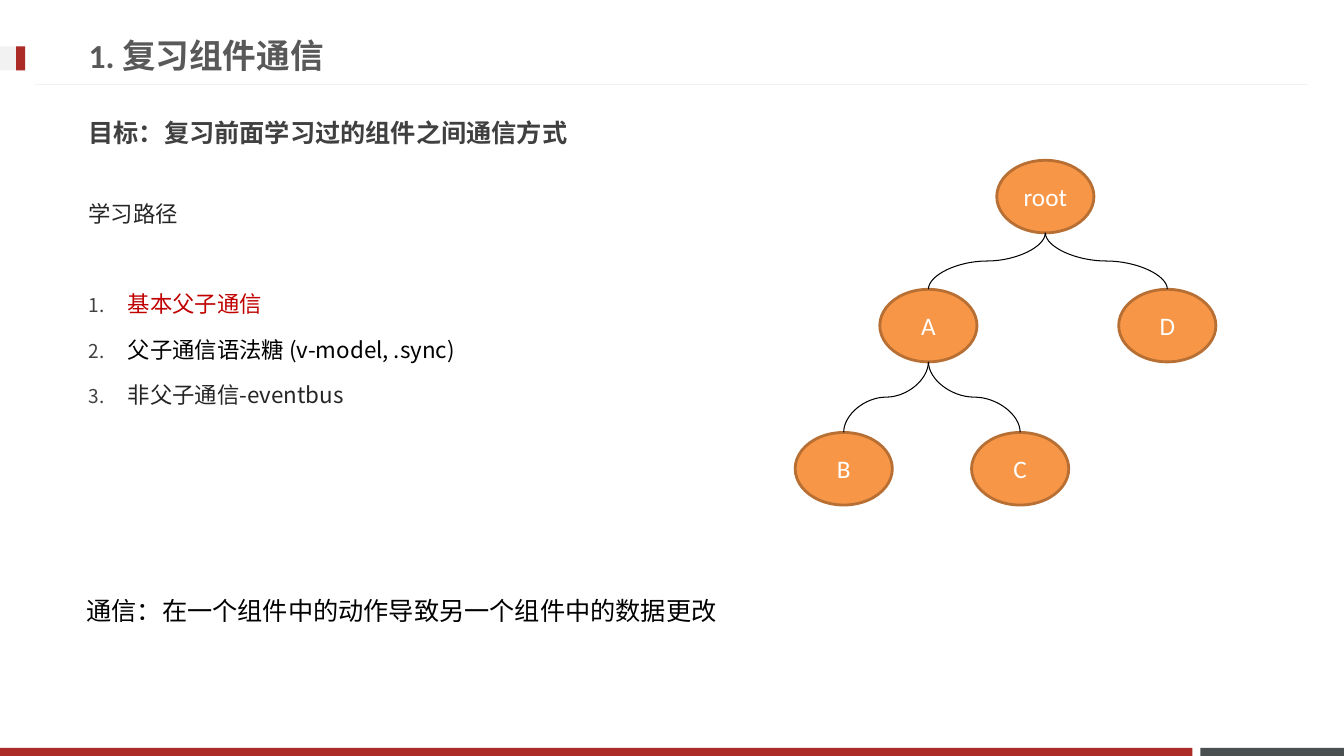
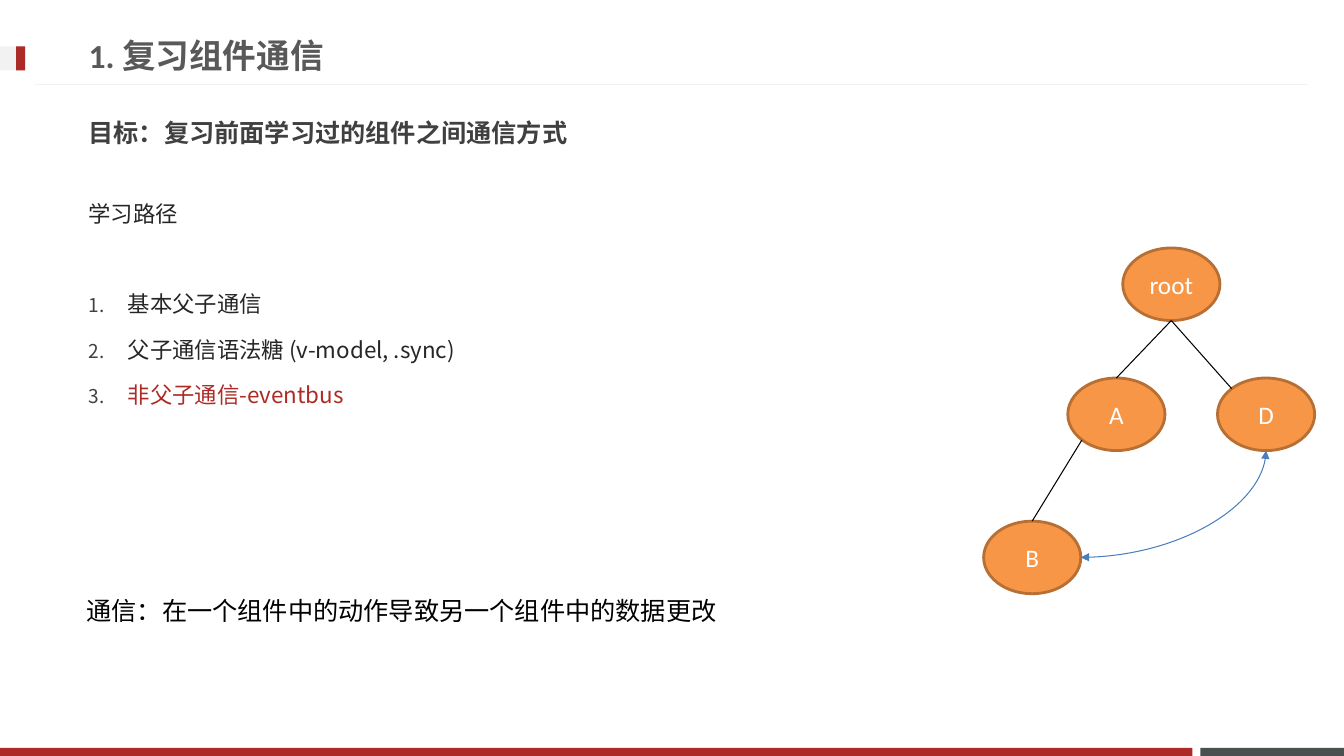
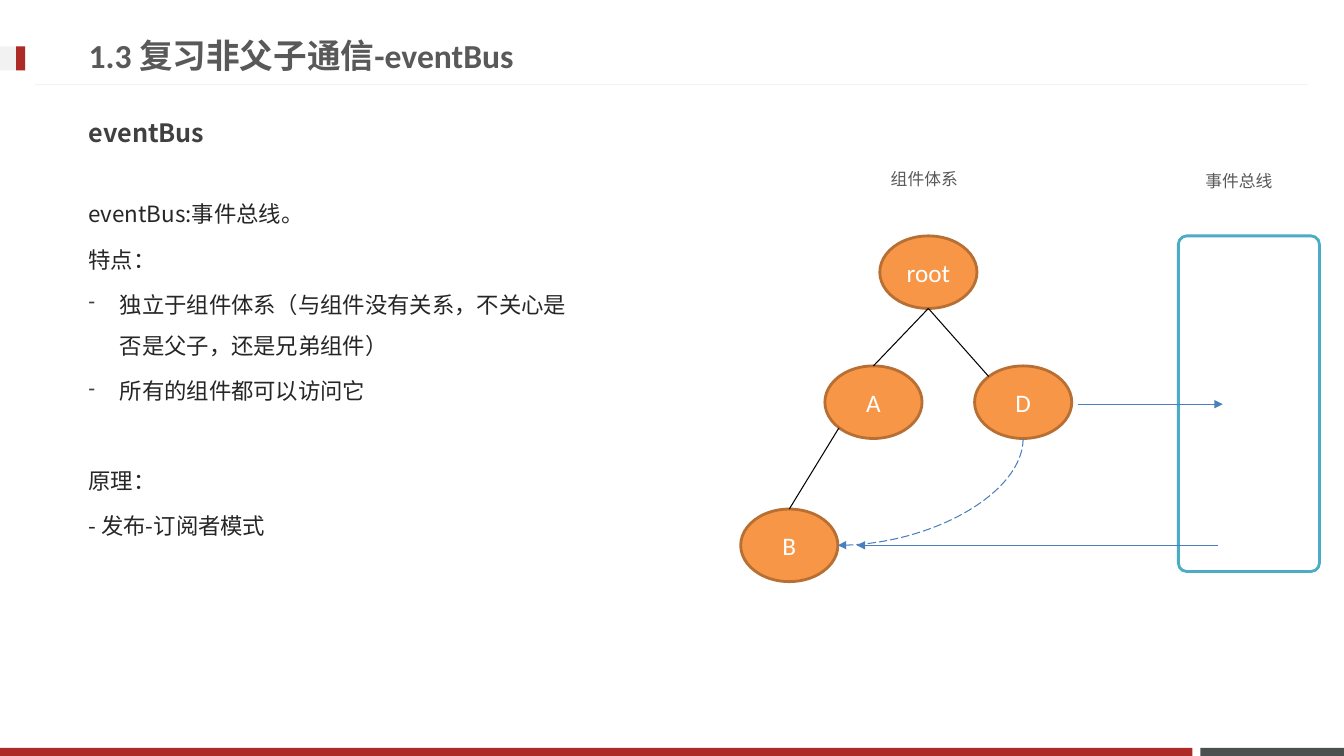
from pptx import Presentation
from pptx.dml.color import RGBColor as RGB
from pptx.enum.dml import MSO_LINE as Dash
from pptx.enum.shapes import MSO_CONNECTOR as Link, MSO_SHAPE as Form
from pptx.enum.text import MSO_ANCHOR as Anchor, PP_ALIGN as Align
from pptx.oxml.ns import qn
from pptx.util import Inches, Pt
from lxml.etree import SubElement as Sub

RED = RGB(0xAD, 0x2B, 0x26)
CRIMSON = RGB(0xC0, 0x00, 0x00)
SLATE = RGB(0x49, 0x50, 0x4F)
PALE = RGB(0xF2, 0xF2, 0xF2)
GREY = RGB(0x59, 0x59, 0x59)
DARK = RGB(0x40, 0x40, 0x40)
INK = RGB(0x26, 0x26, 0x26)
BLACK = RGB(0x00, 0x00, 0x00)
WHITE = RGB(0xFF, 0xFF, 0xFF)
ORANGE = RGB(0xF7, 0x96, 0x46)
BROWN = RGB(0xB7, 0x6F, 0x34)
BLUE = RGB(0x4B, 0x7E, 0xBC)
TEAL = RGB(0x4B, 0xAC, 0xC6)

LATIN = "Calibri"
HAN = "Noto Sans CJK JP"
COLS, ROWS = 133.33, 75
NODE_W, NODE_H = 9.64, 7.2
BOTTOM, TOP, RIGHT = (0, 1), (0, -1), (1, 0)
LOW_LEFT, TOP_LEFT = (-0.71, 0.71), (-0.71, -0.71)
MARKS = {"1.": ("a:buAutoNum", "type", "arabicPeriod", 3.9),
         "-": ("a:buChar", "char", "-", 3.1)}
FULL = {"root": (0, 0), "A": (-11.6, 12.8), "B": (-20, 27),
        "C": (-2.5, 27), "D": (12.1, 12.8)}
FORKS = [(head, BOTTOM, tail, TOP) for head, tail in
         (("root", "A"), ("root", "D"), ("A", "B"), ("A", "C"))]
SMALL = {"root": (0, 0), "A": (-5.45, 12.9), "B": (-13.8, 27.1), "D": (9.4, 12.9)}
ROUTES = [("A", LOW_LEFT, "B", TOP), ("root", BOTTOM, "A", TOP),
          ("root", BOTTOM, "D", TOP_LEFT)]


def cell(count):
    return Inches(count / 10)


class Deck:
    def __init__(self):
        self.show = Presentation()
        self.show.slide_width = cell(COLS)
        self.show.slide_height = cell(ROWS)

    def start(self, title, goal):
        self.slide = self.show.slides.add_slide(self.show.slide_layouts[6])
        self.shape(Form.RECTANGLE, (119.1, 74.2, 14.23, 0.8), SLATE)
        self.shape(Form.RECTANGLE, (0, 74.2, 118.3, 0.8), RED)
        self.line((129.8, 8.4), (3.5, 8.4), PALE)
        self.shape(Form.RECTANGLE, (0, 4.6, 2.5, 2.4), PALE)
        self.shape(Form.RECTANGLE, (1.6, 4.6, 0.9, 2.4), RED)
        self.text((7.8, 2.6, 95.9, 5.7), title, 24, GREY, bold=True, mid=True)
        self.text((7.8, 10.3, 117.2, 5.7), goal, 18, DARK, HAN, True, True)

    def shape(self, form, area, fill, edge=None):
        item = self.slide.shapes.add_shape(form, *map(cell, area))
        item.shadow.inherit = False
        item.fill.solid()
        item.fill.fore_color.rgb = fill
        if edge is None:
            item.line.fill.background()
        else:
            item.line.color.rgb = edge
            item.line.width = Pt(2)
        return item

    def style(self, para, size, color, font=LATIN, bold=False):
        for run in para.runs:
            run.font.size = Pt(size)
            run.font.bold = bold
            run.font.name = font
            run.font.color.rgb = color
            Sub(run.font._element, qn("a:ea")).set("typeface", HAN)

    def text(self, area, words, size, color, font=LATIN, bold=False, mid=False):
        box = self.slide.shapes.add_textbox(*map(cell, area))
        frame = box.text_frame
        frame.word_wrap = True
        frame.vertical_anchor = Anchor.MIDDLE if mid else Anchor.TOP
        frame.text = words
        for para in frame.paragraphs:
            self.style(para, size, color, font, bold)
        return frame

    def label(self, left, top, words):
        frame = self.text((left, top, 8.8, 3), words, 12, GREY)
        frame.word_wrap = False
        frame.paragraphs[0].alignment = Align.CENTER

    def mark(self, para, kind):
        tag, key, value, indent = MARKS[kind]
        props = para._p.get_or_add_pPr()
        props.set("marL", str(cell(indent)))
        props.set("indent", str(-cell(indent)))
        Sub(Sub(props, qn("a:buClr")), qn("a:srgbClr")).set("val", str(DARK))
        Sub(props, qn("a:buSzPct")).set("val", "85000")
        Sub(props, qn(tag)).set(key, value)

    def body(self, width, rows, gap):
        words = "\n".join(row[0] for row in rows)
        frame = self.text((7.8, 18, width, 46.1), words, 16, INK, HAN)
        for spot, (para, row) in enumerate(zip(frame.paragraphs, rows)):
            para.line_spacing = Pt(29.3)
            para.space_before = Pt(35 if spot == gap else 3 if spot else 0)
            if row[1]:
                self.mark(para, row[1])
            for run in para.runs:
                run.font.color.rgb = row[2]

    def finish(self, item, color, ends, dash):
        item.line.color.rgb = color
        item.line.width = Pt(0.75)
        if dash:
            item.line.dash_style = dash
        for end in ends:
            Sub(item.line._get_or_add_ln(), qn(f"a:{end}End")).set("type", "triangle")
        Sub(item._element.spPr, qn("a:effectLst"))

    def line(self, start, end, color=BLACK, ends=(), dash=None):
        item = self.slide.shapes.add_connector(
            Link.STRAIGHT, *map(cell, (*start, *end)))
        self.finish(item, color, ends, dash)

    def curve(self, start, end, color=BLACK, ends=(), dash=None, bend=3):
        (x1, y1), (x2, y2) = start, end
        wide, high = abs(x2 - x1), abs(y2 - y1)
        left, top = (x1 + x2 - high) / 2, (y1 + y2 - wide) / 2
        item = self.slide.shapes.add_connector(
            Link.CURVE, *map(cell, (left, top, left + high, top + wide)))
        props = item._element.spPr
        props.find(qn("a:prstGeom")).set("prst", f"curvedConnector{bend}")
        turn = props.find(qn("a:xfrm"))
        turn.set("rot", "5400000" if x2 < x1 else "16200000")
        if x2 > x1:
            turn.set("flipH", "1")
        self.finish(item, color, ends, dash)

    def tree(self, root, nodes, links, draw):
        spots = {}
        for name, (x, y) in nodes.items():
            x, y = root[0] + x, root[1] + y
            spots[name] = x, y
            item = self.shape(Form.OVAL, (x - NODE_W / 2, y - NODE_H / 2,
                                          NODE_W, NODE_H), ORANGE, BROWN)
            item.text_frame.text = name
            item.text_frame.vertical_anchor = Anchor.MIDDLE
            para = item.text_frame.paragraphs[0]
            para.alignment = Align.CENTER
            self.style(para, 18, WHITE)

        def site(name, side):
            x, y = spots[name]
            return x + side[0] * NODE_W / 2, y + side[1] * NODE_H / 2

        for head, out, tail, into in links:
            draw(site(head, out), site(tail, into))
        return site


def review(deck, width, colors):
    deck.start("1. 复习组件通信", "目标：复习前面学习过的组件之间通信方式")
    steps = ("基本父子通信", "父子通信语法糖 (v-model, .sync)", "非父子通信-eventbus")
    rows = [("学习路径", None, INK)]
    rows += [(step, "1.", color) for step, color in zip(steps, colors)]
    deck.body(width, rows, 1)
    deck.text((7.6, 58.6, 66.7, 4), "通信：在一个组件中的动作导致另一个组件中的数据更改", 18, BLACK)


def main():
    deck = Deck()

    review(deck, 52.7, (CRIMSON, BLACK, INK))
    deck.tree((103.7, 19.5), FULL, FORKS, deck.curve)

    review(deck, 58.9, (INK, INK, RED))
    site = deck.tree((116.2, 28.2), SMALL, ROUTES, deck.line)
    deck.curve(site("D", BOTTOM), site("B", RIGHT), BLUE, ("head", "tail"), bend=2)

    deck.start("1.3 复习非父子通信-eventBus", "eventBus")
    deck.body(50.8, [
        ("eventBus:事件总线。", None, INK),
        ("特点：", None, INK),
        ("独立于组件体系（与组件没有关系，不关心是否是父子，还是兄弟组件）", "-", INK),
        ("所有的组件都可以访问它", "-", INK),
        ("原理：", None, INK),
        ("- 发布-订阅者模式", None, INK)], 4)
    deck.label(87.3, 16.2, "组件体系")
    site = deck.tree((92.1, 27), SMALL, ROUTES, deck.line)
    bus = deck.shape(Form.ROUNDED_RECTANGLE, (116.9, 23.4, 14, 33.3), WHITE, TEAL)
    bus.adjustments[0] = 0.06
    deck.label(118.5, 16.4, "事件总线")
    deck.line((106.9, 40.1), (121.3, 40.1), BLUE, ("tail",))
    deck.line((120.8, 54.1), (85, 54.1), BLUE, ("tail",))
    deck.curve(site("D", BOTTOM), site("B", RIGHT), BLUE, ("tail",),
               Dash.LONG_DASH, 2)

    deck.show.save("out.pptx")


if __name__ == "__main__":
    main()
